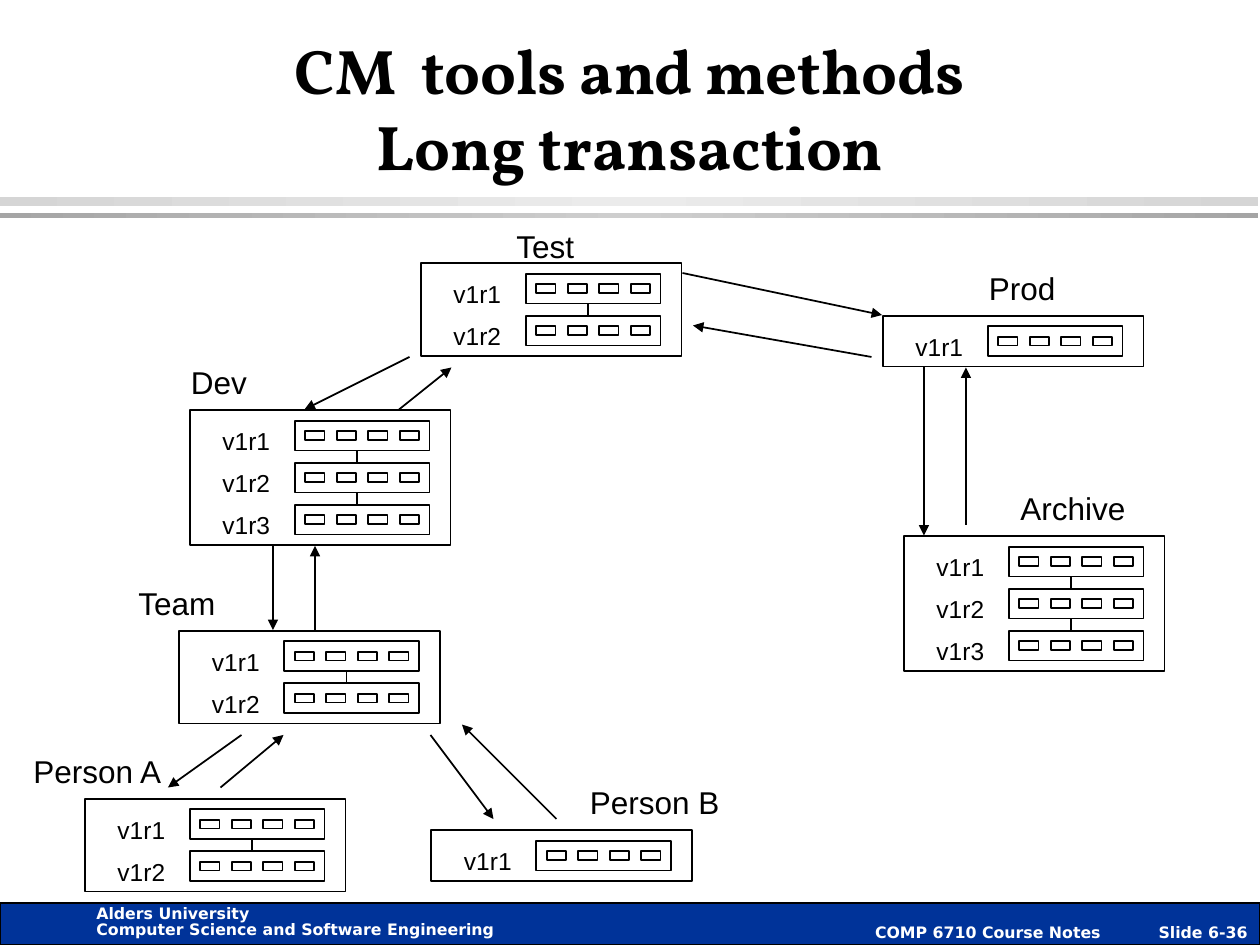
"""Build the slide on long transactions in configuration management."""
from copy import deepcopy

from lxml import etree
from pptx import Presentation
from pptx.dml.color import RGBColor
from pptx.enum import shapes as kinds, text as modes
from pptx.oxml.ns import qn
from pptx.util import Pt

BLACK = RGBColor(0, 0, 0)
WHITE = RGBColor(255, 255, 255)
NAVY = RGBColor(0, 0x33, 0x99)
PALE = RGBColor(0xD5, 0xD5, 0xD5)
LIGHT = RGBColor(0xEB, 0xEB, 0xEB)
GREY = RGBColor(0xA5, 0xA5, 0xA5)
SILVER = RGBColor(0xCE, 0xCE, 0xCE)

deck = Presentation()
deck.slide_width, deck.slide_height = Pt(720), Pt(540)
slide = deck.slides.add_slide(deck.slide_layouts[6])
items = slide.shapes


def write(frame, lines, size, font, color=BLACK, bold=False):
    """Fill a frame with one paragraph for each line."""
    for i, line in enumerate(lines):
        para = frame.add_paragraph() if i else frame.paragraphs[0]
        run = para.add_run()
        run.text = line
        run.font.size, run.font.name = Pt(size), font
        run.font.color.rgb, run.font.bold = color, bold
    return frame


def rect(x, y, w, h, line=1):
    """Add a plain outlined rectangle."""
    box = items.add_shape(kinds.MSO_SHAPE.RECTANGLE, Pt(x), Pt(y), Pt(w), Pt(h))
    box.shadow.inherit = False
    box.fill.background()
    box.line.color.rgb, box.line.width = BLACK, Pt(line)
    return box


for top, high, edge, mid in [(112.5, 5.5, PALE, LIGHT), (121.5, 3, GREY, SILVER)]:
    band = rect(0, top, 719, high)
    band.line.fill.background()
    band.fill.gradient()
    band.fill.gradient_angle = 0
    stops = band.fill.gradient_stops
    for stop, color, pos in zip(stops, (edge, mid), (0, 0.5)):
        stop.color.rgb, stop.position = color, pos
    row = band.fill._fill._gradFill.gsLst
    last = deepcopy(row[0])
    last.set("pos", "100000")
    row.append(last)

bar = rect(0, 516, 720, 24, 0.75)
bar.fill.solid()
bar.fill.fore_color.rgb = NAVY
foot = write(bar.text_frame, ["COMP 6710 Course Notes\tSlide 6-36"], 9, "DejaVu Sans", WHITE, True)
foot.word_wrap = False
foot.vertical_anchor = modes.MSO_ANCHOR.BOTTOM
foot.margin_bottom = Pt(2)
foot.paragraphs[0].alignment = modes.PP_ALIGN.RIGHT
props = foot.paragraphs[0]._p.get_or_add_pPr()
props.set("marL", str(Pt(18)))
props.set("indent", str(Pt(-18)))

school = items.add_textbox(Pt(48), Pt(515), Pt(242), Pt(25)).text_frame
write(school, ["Alders University", "Computer Science and Software Engineering"],
      9, "DejaVu Sans", WHITE, True)
school.word_wrap = False
for para in school.paragraphs:
    para.line_spacing = Pt(9)

title = items.add_textbox(Pt(54), Pt(18), Pt(612), Pt(90)).text_frame
title.word_wrap = True
title.vertical_anchor = modes.MSO_ANCHOR.BOTTOM
write(title, ["CM  tools and methods", "Long transaction"], 36, "Vollkorn", bold=True)
for para in title.paragraphs:
    para.alignment = modes.PP_ALIGN.CENTER

stores = [
    ("Person A", 12, 426, 48.5, 456.5, 2),
    ("Team", 72, 330, 102.5, 360.5, 2),
    ("Test", 288, 126, 240.5, 150.5, 2),
    ("Prod", 558, 150, 504.5, 180.5, 1),
    ("Person B", 330, 444, 246.5, 474.5, 1),
    ("Dev", 102, 204, 108.5, 234.5, 3),
    ("Archive", 576, 276, 516.5, 306.5, 3),
]
lines = [
    (126, 450, 162, 420), (138, 420, 96, 450),
    (246, 420, 282, 468), (318, 468, 264, 414),
    (156, 312, 156, 360), (180, 360, 180, 312),
    (234, 204, 174, 234), (228, 234, 258, 210),
    (390, 156, 504, 180), (498, 204, 396, 186),
    (528, 210, 528, 306), (552, 300, 552, 210),
]
arrows = len(lines)
for name, left, top, x, y, count in stores:
    rect(x, y, 149, 5 + 24 * count)
    for i in range(count):
        step = y + 24 * i
        rect(x + 60, step + 6, 77, 17)
        for j in range(4):
            rect(x + 66 + 18 * j, step + 12, 11, 5)
        tag = items.add_textbox(Pt(x + 11.5), Pt(step + 5.5), Pt(42.5), Pt(24)).text_frame
        tag.word_wrap = True
        write(tag, [f"v1r{i + 1}"], 14, "Arial")
        if i:
            lines.append((x + 95.5, step - 0.5, x + 95.5, step + 5.5))
    label = items.add_textbox(Pt(left), Pt(top), Pt(103), Pt(29)).text_frame
    label.word_wrap = True
    write(label, [name], 18, "Arial")

for i, ends in enumerate(lines):
    link = items.add_connector(kinds.MSO_CONNECTOR.STRAIGHT, *map(Pt, ends))
    link.line.color.rgb, link.line.width = BLACK, Pt(1)
    if i < arrows:
        etree.SubElement(link.line._get_or_add_ln(), qn("a:tailEnd"), type="triangle")
    etree.SubElement(link._element.spPr, qn("a:effectLst"))

deck.save("out.pptx")
